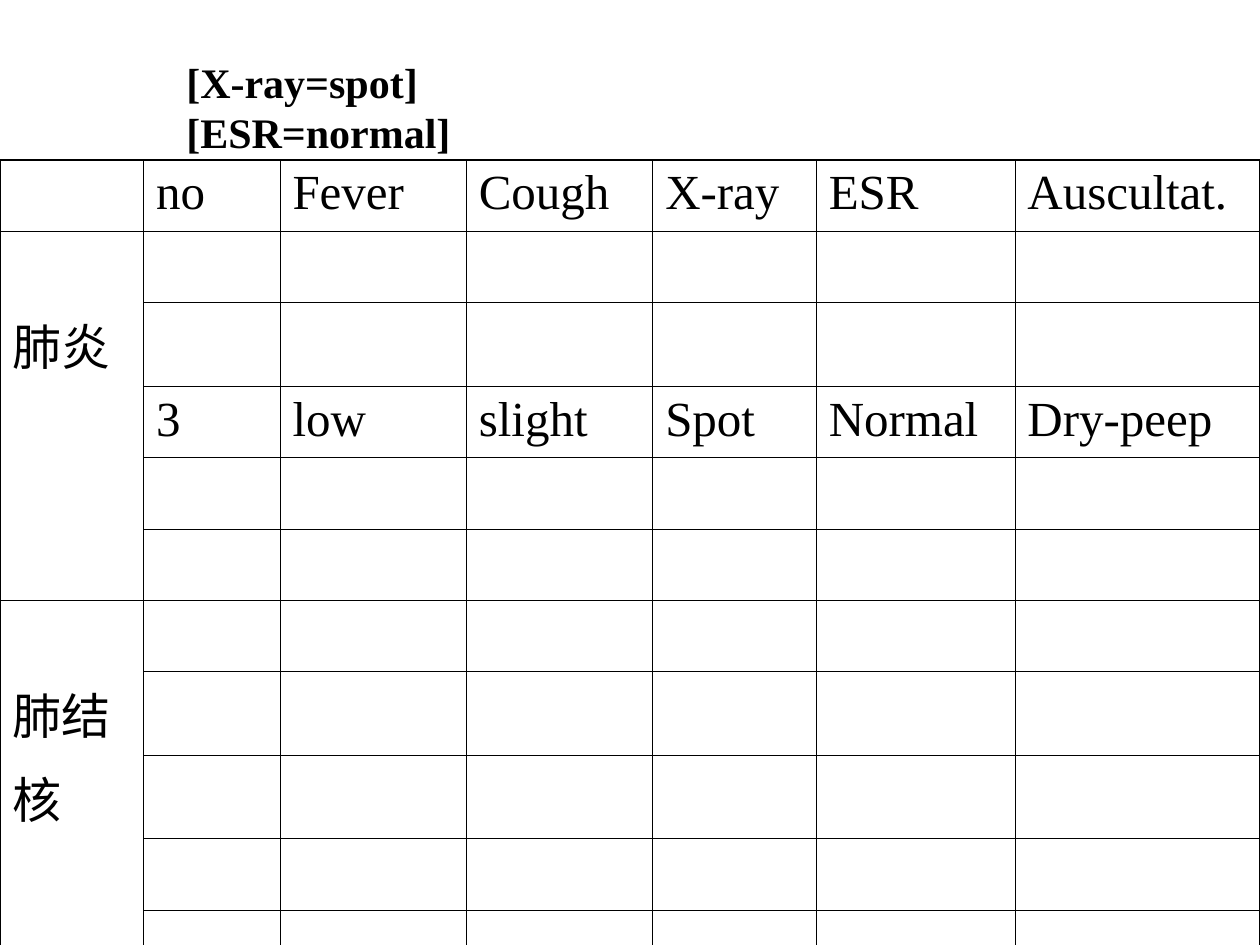
from lxml.etree import SubElement
from pptx import Presentation
from pptx.dml.color import RGBColor
from pptx.enum.text import MSO_AUTO_SIZE
from pptx.oxml.ns import qn
from pptx.util import Pt

BLACK = RGBColor(0, 0, 0)
FONT = "Times New Roman"
OUTER, INNER = 1.08, 0.45
COL_WIDTHS = [82, 78, 106.5, 106.5, 93.5, 113.5, 140]
ROW_COUNT = 11
ROW_HEIGHT = 40.8
GROUP_STARTS = {1, 6}
ROW_TEXT = {
    0: ["", "no", "Fever", "Cough", "X-ray", "ESR", "Auscultat."],
    2: ["肺炎"],
    3: ["", "3", "low", "slight", "Spot", "Normal", "Dry-peep"],
    7: ["肺结"],
    8: ["核"],
}


def write_text(tf, text, size, bold=False):
    p = tf.paragraphs[0]
    p.text = text
    for r in p.runs:
        r.font.name = FONT
        r.font.size = Pt(size)
        r.font.bold = bold
        r.font.color.rgb = BLACK


def add_title(s, text):
    sp = s.shapes.add_textbox(Pt(99.4), Pt(28.8), Pt(297.4), Pt(36))
    tf = sp.text_frame
    tf.word_wrap = False
    tf.auto_size = MSO_AUTO_SIZE.SHAPE_TO_FIT_TEXT
    write_text(tf, text, 24, bold=True)


def edge_widths(row, col):
    last_row, last_col = ROW_COUNT - 1, len(COL_WIDTHS) - 1

    def rule_above(y):
        if y in (0, ROW_COUNT):
            return OUTER
        return INNER if col > 0 or y in GROUP_STARTS else None

    return {
        "lnL": OUTER if col == 0 else INNER,
        "lnR": OUTER if col == last_col else INNER,
        "lnT": rule_above(row),
        "lnB": OUTER if row == last_row else rule_above(row + 1),
    }


def set_borders(cell, widths):
    tcPr = cell._tc.get_or_add_tcPr()
    for i, (tag, width) in enumerate(widths.items()):
        ln = SubElement(tcPr, qn(f"a:{tag}"))
        tcPr.insert(i, ln)
        if width is None:
            SubElement(ln, qn("a:noFill"))
        else:
            ln.set("w", str(Pt(width)))
            fill = SubElement(ln, qn("a:solidFill"))
            SubElement(fill, qn("a:srgbClr"), val=str(BLACK))


def add_case_table(s):
    frame = s.shapes.add_table(
        ROW_COUNT, len(COL_WIDTHS), Pt(0), Pt(91.4),
        Pt(sum(COL_WIDTHS)), Pt(ROW_COUNT * ROW_HEIGHT))
    table = frame.table
    table.first_row = False
    table.horz_banding = False
    for column, width in zip(table.columns, COL_WIDTHS):
        column.width = Pt(width)
    for y, row in enumerate(table.rows):
        row.height = Pt(ROW_HEIGHT)
        for x, cell in enumerate(row.cells):
            cell.fill.background()
            set_borders(cell, edge_widths(y, x))
        for cell, text in zip(row.cells, ROW_TEXT.get(y, [])):
            if text:
                write_text(cell.text_frame, text, 28)


def main():
    prs = Presentation()
    prs.slide_width, prs.slide_height = Pt(720), Pt(540)
    s = prs.slides.add_slide(prs.slide_layouts[6])
    add_case_table(s)
    add_title(s, "[X-ray=spot][ESR=normal]")
    prs.save("out.pptx")


if __name__ == "__main__":
    main()
